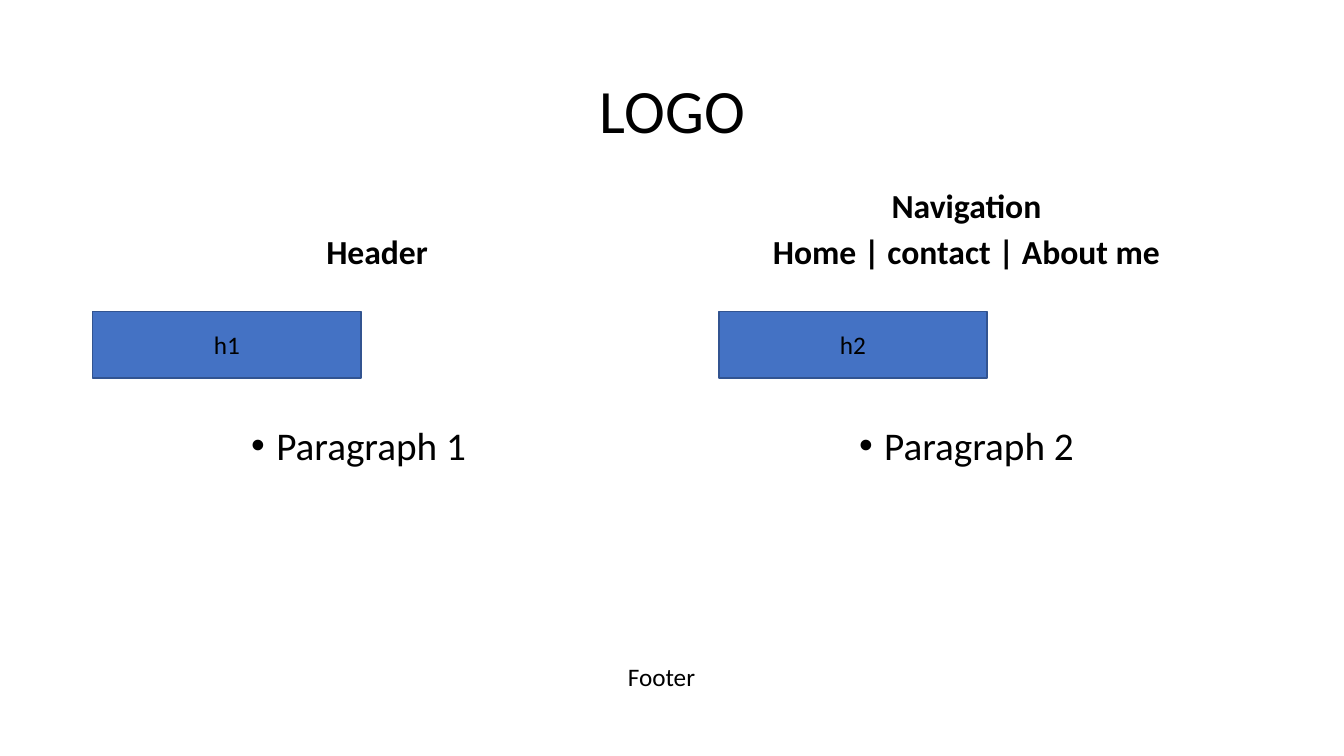
from dataclasses import dataclass

from lxml.etree import SubElement
from pptx import Presentation
from pptx.dml.color import RGBColor as RGB
from pptx.enum.shapes import MSO_SHAPE as SHAPE
from pptx.enum.text import MSO_ANCHOR as ANCHOR, MSO_AUTO_SIZE as FIT, PP_ALIGN as ALIGN
from pptx.oxml.ns import qn
from pptx.util import Inches, Pt


@dataclass(frozen=True)
class Theme:
    font: str = "Calibri"
    text: RGB = RGB(0x00, 0x00, 0x00)
    fill: RGB = RGB(0x44, 0x72, 0xC4)
    line: RGB = RGB(0x32, 0x54, 0x91)
    title: int = 44
    body: int = 28
    heading: int = 24
    label: int = 18


class Wireframe:
    def __init__(self, prs, theme):
        self.theme = theme
        self.slide = prs.slides.add_slide(prs.slide_layouts[4])

    def set_text(self, sp, text, size, anchor=ANCHOR.MIDDLE, bold=False, spacing=1.0, before=0):
        tf = sp.text_frame
        tf.text = text
        tf.word_wrap = True
        tf.auto_size = FIT.NONE
        tf.vertical_anchor = anchor
        for p in tf.paragraphs:
            p.alignment = ALIGN.CENTER
            p.line_spacing = spacing
            p.space_before = Pt(before)
            for r in p.runs:
                r.font.name = self.theme.font
                r.font.size = Pt(size)
                r.font.bold = bold
                r.font.color.rgb = self.theme.text
        return tf

    def placeholder(self, idx, box):
        sp = self.slide.placeholders[idx]
        sp.left, sp.top, sp.width, sp.height = map(Inches, box)
        return sp

    def title(self, text, box):
        self.set_text(self.placeholder(0, box), text, self.theme.title, spacing=0.9)

    def heading(self, idx, text, box):
        self.set_text(self.placeholder(idx, box), text, self.theme.heading,
                      ANCHOR.BOTTOM, bold=True, spacing=0.8, before=10)

    def bullets(self, idx, text, box):
        tf = self.set_text(self.placeholder(idx, box), text, self.theme.body,
                           ANCHOR.TOP, spacing=0.9, before=10)
        for p in tf.paragraphs:
            pPr = p._p.get_or_add_pPr()
            pPr.set("marL", str(Inches(0.25)))
            pPr.set("indent", str(-Inches(0.25)))
            SubElement(pPr, qn("a:buFont"), typeface="Arial")
            SubElement(pPr, qn("a:buChar"), char="•")

    def footer(self, text, box):
        sp = self.slide.shapes.add_textbox(*map(Inches, box))
        self.set_text(sp, text, self.theme.label)

    def button(self, text, box):
        sp = self.slide.shapes.add_shape(SHAPE.RECTANGLE, *map(Inches, box))
        sp.shadow.inherit = False
        sp.fill.solid()
        sp.fill.fore_color.rgb = self.theme.fill
        sp.line.color.rgb = self.theme.line
        sp.line.width = Pt(1)
        self.set_text(sp, text, self.theme.label)


def main():
    prs = Presentation()
    prs.slide_width, prs.slide_height = Inches(13.33), Inches(7.5)
    page = Wireframe(prs, Theme())
    page.title("LOGO", (0.92, 0.4, 11.5, 1.45))

    columns = [
        (1, 0.92, 5.64, "Header", "Paragraph 1\t"),
        (3, 6.75, 5.67, "Navigation\nHome | contact | About me", "Paragraph 2"),
    ]
    for idx, left, width, heading, paragraph in columns:
        page.heading(idx, heading, (left, 1.84, width, 0.9))
        page.bullets(idx + 1, paragraph, (left, 4.18, width, 2.59))

    page.footer("Footer", (0.57, 6.32, 11.98, 0.78))
    for text, left in (("h1", 0.92), ("h2", 7.13)):
        page.button(text, (left, 3.09, 2.66, 0.66))

    prs.save("out.pptx")


if __name__ == "__main__":
    main()
